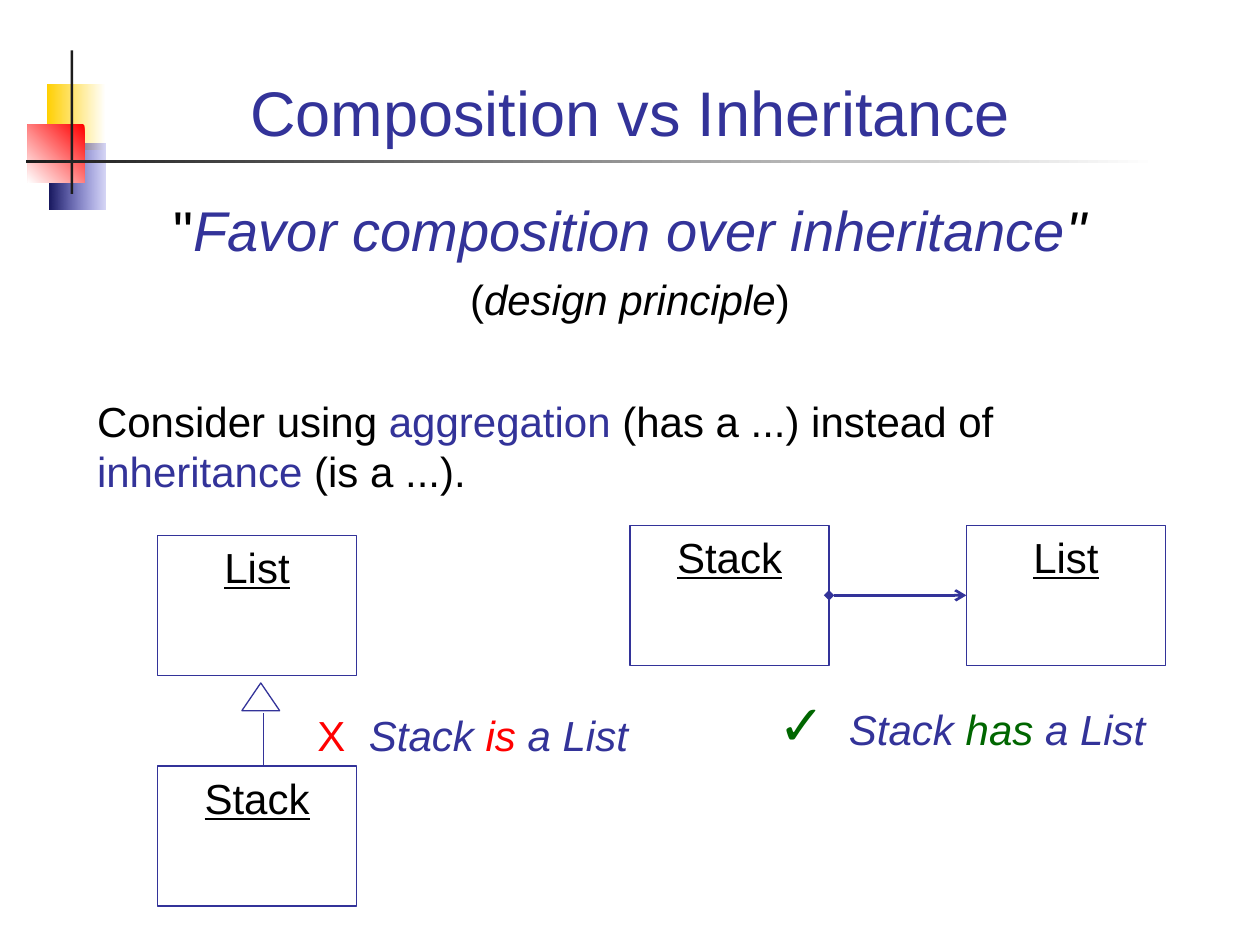
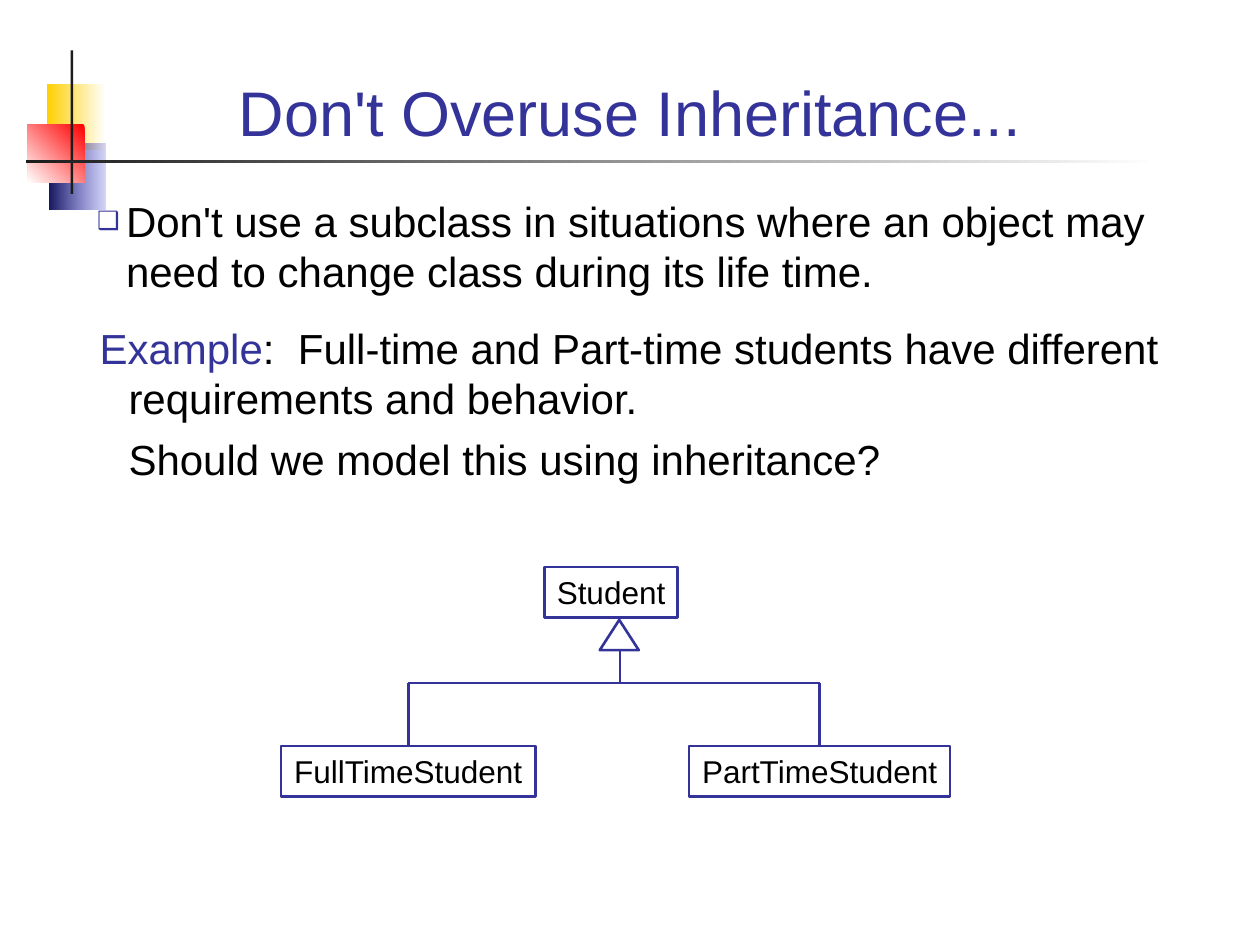
"""Builds two slides on composition and inheritance."""
from dataclasses import dataclass

from lxml.etree import SubElement
from pptx import Presentation
from pptx.dml.color import RGBColor
from pptx.enum.shapes import MSO_CONNECTOR, MSO_SHAPE
from pptx.enum.text import MSO_ANCHOR, MSO_AUTO_SIZE, PP_ALIGN
from pptx.oxml.ns import qn
from pptx.util import Inches, Pt


@dataclass(frozen=True)
class Theme:
    """Colours, font and type sizes of the deck."""
    font: str = "Arial"
    blue: RGBColor = RGBColor(0x33, 0x33, 0x99)
    black: RGBColor = RGBColor(0, 0, 0)
    white: RGBColor = RGBColor(255, 255, 255)
    red: RGBColor = RGBColor(255, 0, 0)
    green: RGBColor = RGBColor(0, 0x66, 0)
    gold: RGBColor = RGBColor(0xFF, 0xCF, 0x01)
    navy: RGBColor = RGBColor(0x17, 0x17, 0x5E)
    haze: RGBColor = RGBColor(0x33, 0x33, 0xCC)
    ink: RGBColor = RGBColor(0x1C, 0x1C, 0x1C)
    head: int = 36
    lead: int = 32
    text: int = 24
    label: int = 18
    thin: float = 0.75
    thick: float = 1.5


T = Theme()


def write(par, runs, size=T.text, color=T.black, before=0, align=None):
    """Fill a paragraph with (text, colour, italic, size) runs."""
    par.space_before = Pt(before)
    par.alignment = align
    font = par.font
    font.name, font.size = T.font, Pt(size)
    font.color.rgb = color
    for text, *style in runs:
        tint, slant, points = (style + [None] * 3)[:3]
        run = par.add_run()
        run.text = text
        if tint is not None:
            run.font.color.rgb = tint
        if slant:
            run.font.italic = True
        if points:
            run.font.size = Pt(points)


def indent(par, left=0, first=0, mark=None):
    """Set the indents and the bullet of a paragraph."""
    props = par._p.get_or_add_pPr()
    props.set("marL", str(Inches(left)))
    props.set("indent", str(Inches(first)))
    if mark:
        tint = SubElement(props, qn("a:buClr"))
        SubElement(tint, qn("a:srgbClr"), val=str(T.blue))
        SubElement(props, qn("a:buSzPct"), val="60000")
        SubElement(props, qn("a:buFont"), typeface=T.font)
        SubElement(props, qn("a:buChar"), char=mark)
    else:
        SubElement(props, qn("a:buNone"))


def place(shape, x, y, w, h):
    """Move a shape and size it, in inches."""
    shape.left, shape.top = Inches(x), Inches(y)
    shape.width, shape.height = Inches(w), Inches(h)


def shade(slide, kind, x, y, w, h, fill=None, edge=None):
    """Add a preset shape with a plain fill and outline."""
    shape = slide.shapes.add_shape(kind, *map(Inches, (x, y, w, h)))
    shape.shadow.inherit = False
    if fill is None:
        shape.fill.background()
    else:
        shape.fill.solid()
        shape.fill.fore_color.rgb = fill
    if edge:
        shape.line.color.rgb = T.blue
        shape.line.width = Pt(edge)
    else:
        shape.line.fill.background()
    return shape


def blend(shape, start, end, angle):
    """Give a shape a two-colour gradient."""
    shape.fill.gradient()
    shape.fill.gradient_angle = angle
    for stop, color in zip(shape.fill.gradient_stops, (start, end)):
        stop.color.rgb = color


def brand(slide):
    """Draw the corner squares and rules on the layout of a slide."""
    rect = MSO_SHAPE.RECTANGLE
    gold = shade(slide, rect, 0.37, 0.67, 0.47, 0.52)
    blend(gold, T.white, T.gold, 180)
    navy = shade(slide, rect, 0.39, 1.14, 0.45, 0.52)
    blend(navy, T.haze, T.navy, 180)
    SubElement(next(navy.element.iter(qn("a:srgbClr"))), qn("a:alpha"), val="20000")
    red = shade(slide, rect, 0.22, 0.99, 0.45, 0.46)
    blend(red, T.red, T.white, 225)
    post = shade(slide, rect, 0.56, 0.4, 0.02, 1.14, T.ink)
    rule = shade(slide, rect, 0.21, 1.27, 8.98, 0.02)
    blend(rule, T.white, T.ink, 180)
    tree = slide.slide_layout.shapes.element
    for part in (gold, navy, red, post, rule):
        tree.append(part.element)


def start(deck, title, height):
    """Add a titled slide and return it with its body frame."""
    slide = deck.slides.add_slide(deck.slide_layouts[1])
    head, body = slide.placeholders
    place(head, 0.67, 0.28, 8.66, 0.95)
    place(body, 0.67, 1.5, 8.66, height)
    for shape in (head, body):
        shape.text_frame.word_wrap = True
        shape.text_frame.auto_size = MSO_AUTO_SIZE.NONE
    head.text_frame.vertical_anchor = MSO_ANCHOR.BOTTOM
    write(head.text_frame.paragraphs[0], [(title,)], T.head, T.blue,
          align=PP_ALIGN.CENTER)
    return slide, body.text_frame


def node(slide, name, x, y, w, h, size=T.label, edge=T.thick):
    """Add a class box with its name at the top."""
    box = shade(slide, MSO_SHAPE.RECTANGLE, x, y, w, h, edge=edge)
    frame = box.text_frame
    frame.vertical_anchor = MSO_ANCHOR.TOP
    frame.word_wrap = False
    write(frame.paragraphs[0], [(name,)], size, align=PP_ALIGN.CENTER)
    return box


def card(slide, name, x, y):
    """Add a large class box with an underlined name."""
    box = node(slide, name, x, y, 1.58, 1.11, T.text, T.thin)
    box.text_frame.paragraphs[0].font.underline = True
    return box


def link(slide, x1, y1, x2, y2, width=T.thick, ends=()):
    """Add a straight line between two points, with optional end marks."""
    line = slide.shapes.add_connector(MSO_CONNECTOR.STRAIGHT, x1, y1, x2, y2)
    line.line.color.rgb = T.blue
    line.line.width = Pt(width)
    props = line.element.spPr
    for tag, kind in zip(("a:headEnd", "a:tailEnd"), ends):
        SubElement(props.find(qn("a:ln")), qn(tag), type=kind)
    SubElement(props, qn("a:effectLst"))
    return line


def note(slide, x, y, h, stop, runs):
    """Add a verdict line whose sentence starts at a tab stop."""
    box = slide.shapes.add_textbox(*map(Inches, (x, y, 3.17, h)))
    box.text_frame.word_wrap = True
    par = box.text_frame.paragraphs[0]
    tabs = SubElement(par._p.get_or_add_pPr(), qn("a:tabLst"))
    SubElement(tabs, qn("a:tab"), pos=str(Inches(stop)), algn="l")
    write(par, runs, color=T.blue)


def is_a(slide, x, y):
    """Draw the inheritance of Stack from List."""
    card(slide, "List", x, y)
    card(slide, "Stack", x, y + 1.83)
    shade(slide, MSO_SHAPE.ISOSCELES_TRIANGLE, x + 0.67, y + 1.17, 0.3, 0.22,
          T.white, T.thin)
    mid = Inches(x + 0.84)
    link(slide, mid, Inches(y + 1.41), mid, Inches(y + 1.82), T.thin)
    note(slide, x + 1.17, y + 1.33, 0.5, 0.41, [
        ("X\t", T.red), ("Stack ", None, True), ("is", T.red, True),
        (" a List", None, True)])


def has_a(slide, x, y):
    """Draw the composition of Stack with List."""
    whole = card(slide, "Stack", x, y)
    part = card(slide, "List", x + 2.67, y)
    line = link(slide, 0, 0, 0, 0, ends=("diamond", "arrow"))
    line.begin_connect(whole, 3)
    line.end_connect(part, 1)
    note(slide, x + 1.08, y + 1.25, 0.64, 0.56, [
        ("✓\t", T.green, False, T.lead), ("Stack ", None, True),
        ("has", T.green, True), (" a List", None, True)])


def tree(slide, x, y):
    """Draw Student above its two subclasses."""
    node(slide, "Student", x + 2.09, y, 1.06, 0.4)
    kids = [node(slide, "FullTimeStudent", x, y + 1.42, 2.02, 0.4),
            node(slide, "PartTimeStudent", x + 3.24, y + 1.42, 2.07, 0.4)]
    mid, bus = Inches(x + 2.69), Inches(y + 0.92)
    link(slide, mid, Inches(y + 0.42), mid, bus)
    shade(slide, MSO_SHAPE.ISOSCELES_TRIANGLE, x + 2.53, y + 0.42, 0.31, 0.24,
          T.white, T.thick)
    left, right = [kid.left + kid.width // 2 for kid in kids]
    link(slide, left, bus, right, bus)
    for kid, spot in zip(kids, (left, right)):
        link(slide, spot, bus, spot, kid.top).end_connect(kid, 0)


def favor(deck):
    """Build the slide that weighs composition against inheritance."""
    slide, frame = start(deck, "Composition vs Inheritance", 2.58)
    brand(slide)
    mid = PP_ALIGN.CENTER
    lines = [
        (T.lead, 0, mid, [('"',), ("Favor composition over inheritance", T.blue, True),
                          ('"', None, True)]),
        (T.text, 6, mid, [("(",), ("design principle", None, True), (")",)]),
        (T.text, 41, None, [("Consider using ",), ("aggregation", T.blue),
                            (" (has a ...) instead of ",), ("inheritance", T.blue),
                            (" (is a ...).",)])]
    for i, (size, before, align, runs) in enumerate(lines):
        par = frame.add_paragraph() if i else frame.paragraphs[0]
        indent(par)
        write(par, runs, size, before=before, align=align)
    is_a(slide, 1.25, 4.25)
    has_a(slide, 5, 4.17)


def limit(deck):
    """Build the slide that warns against overuse."""
    slide, frame = start(deck, "Don't Overuse Inheritance...", 2.8)
    lines = [
        (0.23, -0.23, "❑", 0, [("Don't use a subclass in situations where an object "
                                "may need to change class during its life time.",)]),
        (0.25, -0.23, None, 15, [("Example", T.blue),
                                 (":  Full-time and Part-time students have different "
                                  "requirements and behavior.",)]),
        (0.25, 0, None, 6, [("Should we model this using inheritance?",)])]
    for i, (left, first, mark, before, runs) in enumerate(lines):
        par = frame.add_paragraph() if i else frame.paragraphs[0]
        indent(par, left, first, mark)
        write(par, runs, before=before)
    tree(slide, 2.23, 4.5)


def main():
    """Build and save the deck."""
    deck = Presentation()
    deck.slide_width, deck.slide_height = Inches(10), Inches(7.5)
    favor(deck)
    limit(deck)
    deck.save("out.pptx")


if __name__ == "__main__":
    main()
